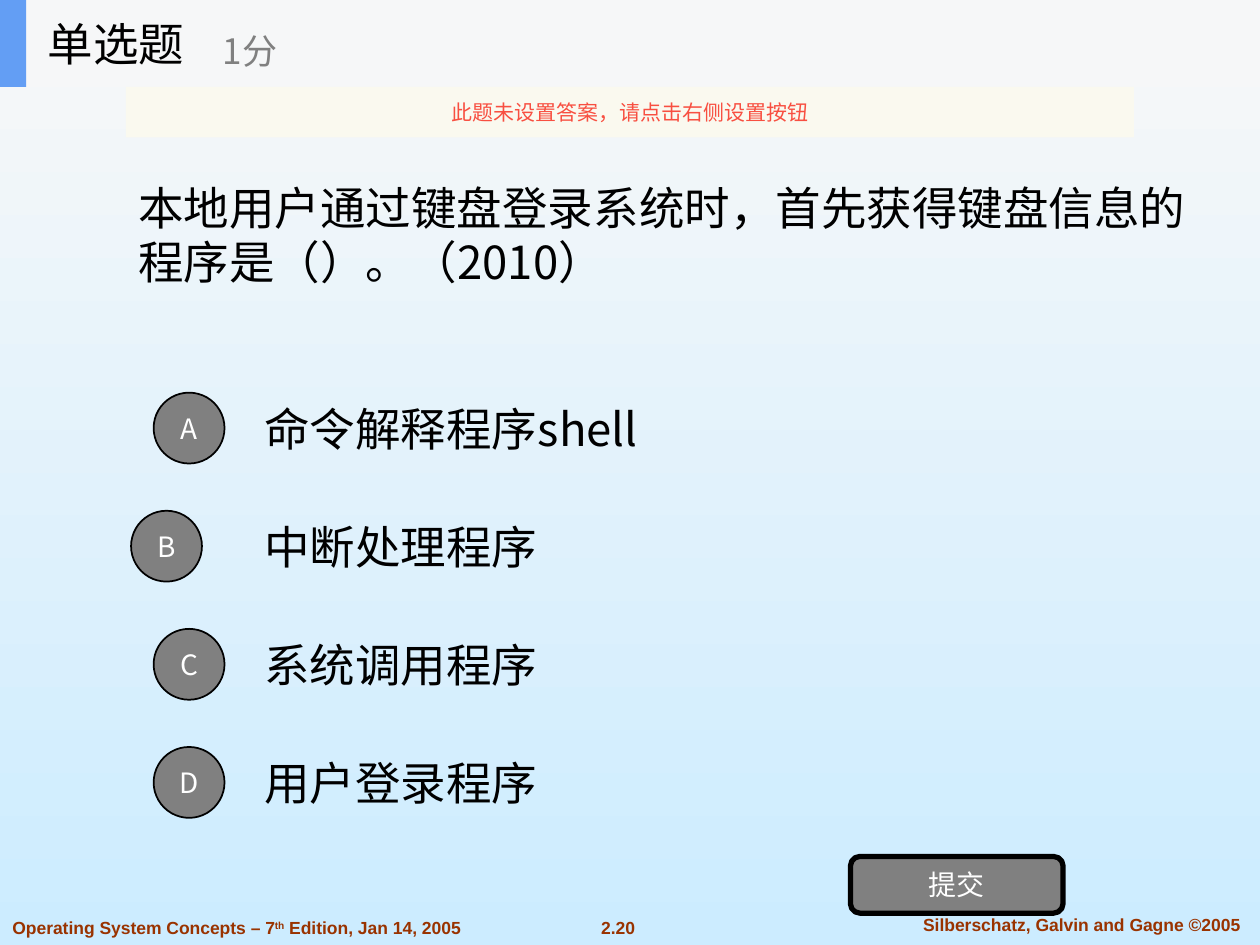
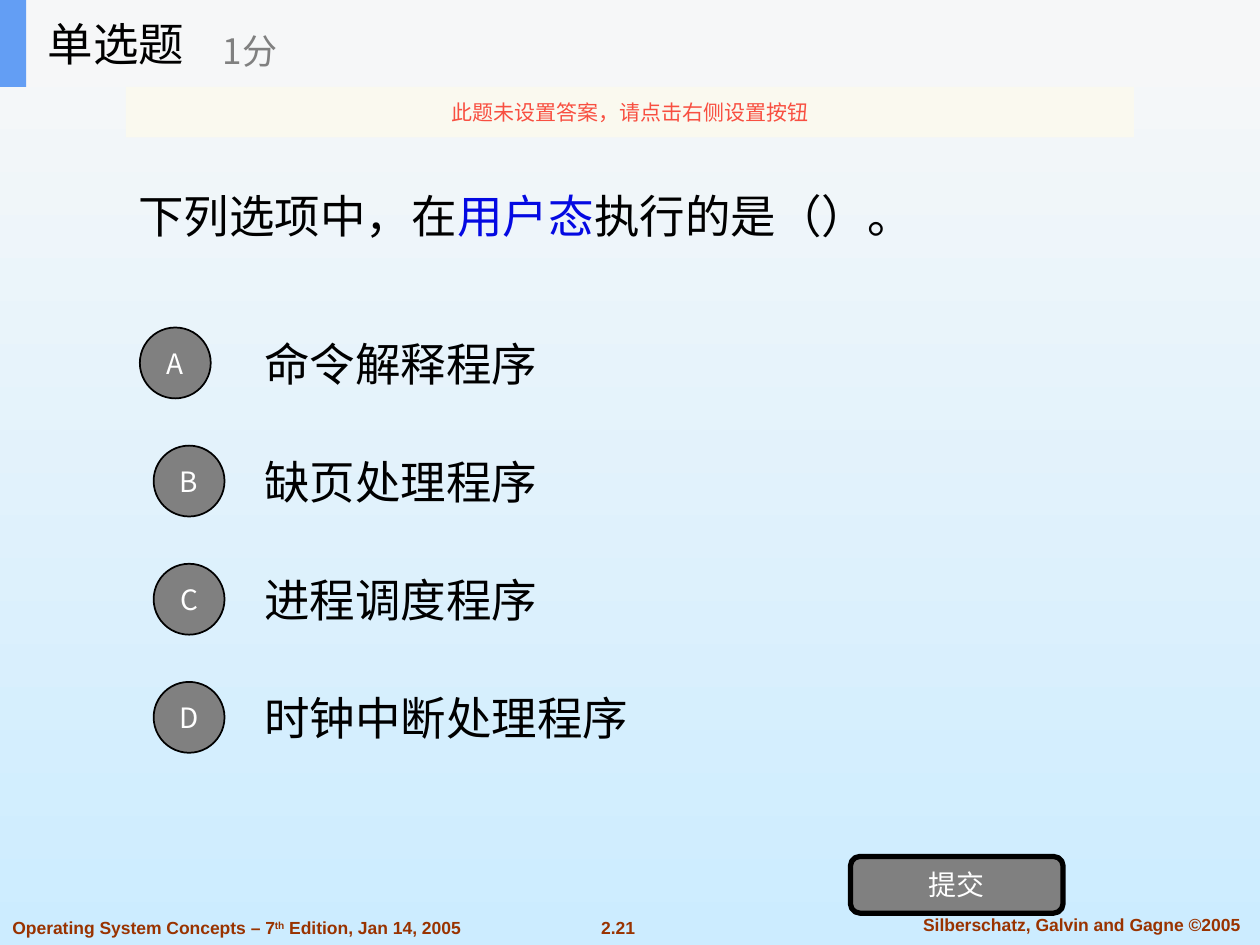
import pptx
import pptx.dml.color
import pptx.enum.shapes
import pptx.enum.text
import pptx.oxml
import pptx.oxml.ns
import pptx.util

Pt = pptx.util.Pt
RGBColor = pptx.dml.color.RGBColor
Shape = pptx.enum.shapes.MSO_SHAPE
Align = pptx.enum.text.PP_ALIGN
qn = pptx.oxml.ns.qn

BLACK = RGBColor(0x00, 0x00, 0x00)
WHITE = RGBColor(0xFF, 0xFF, 0xFF)
GRAY = RGBColor(0x80, 0x80, 0x80)
BLUE = RGBColor(0x04, 0x09, 0xE2)
RUST = RGBColor(0x99, 0x33, 0x00)
SKY_TOP = RGBColor(0xF8, 0xF8, 0xF8)
SKY_BOTTOM = RGBColor(0xCC, 0xEC, 0xFF)
BAND = RGBColor(0xF6, 0xF7, 0xF8)
ACCENT = RGBColor(0x63, 0x9E, 0xF4)
NOTICE_FILL = RGBColor(0xFB, 0xFA, 0xEF)
NOTICE_TEXT = RGBColor(0xF8, 0x4F, 0x41)

BODY_FONT = "Noto Sans CJK SC"
FOOTER_FONT = "Arial"
BAND_HEIGHT = 49.7
OPTION_PITCH = 67.5
OPTION_HEIGHT = 50.4
CIRCLE = 40.5

QUESTIONS = [
    {
        "number": "2.20",
        "box": (72, 49.7, 623.5, 168.5),
        "spans": [("本地用户通过键盘登录系统时，首先获得键盘信息的程序是（）。（2010）", BLACK)],
        "options_top": 219.4,
        "options": ["命令解释程序shell", "中断处理程序", "系统调用程序", "用户登录程序"],
        "circle_lefts": [87.8, 74.9, 87.8, 87.8],
    },
    {
        "number": "2.21",
        "box": (72, 78.5, 576, 89.3),
        "spans": [("下列选项中，在", BLACK), ("用户态", BLUE), ("执行的是（）。", BLACK)],
        "options_top": 182.2,
        "options": ["命令解释程序", "缺页处理程序", "进程调度程序", "时钟中断处理程序"],
        "circle_lefts": [79.9, 87.8, 87.8, 87.8],
    },
]


class QuizDeck:
    def __init__(self):
        self.deck = pptx.Presentation()
        self.deck.slide_width = Pt(720)
        self.deck.slide_height = Pt(540)
        self.page = None
        fill = self.deck.slide_master.background.fill
        fill.gradient()
        fill.gradient_angle = 270
        for stop, color, position in zip(fill.gradient_stops, (SKY_TOP, SKY_BOTTOM), (0, 1)):
            stop.color.rgb = color
            stop.position = position

    def new_page(self):
        self.page = self.deck.slides.add_slide(self.deck.slide_layouts[5])

    def fill_text(self, shape, spans, size, align=Align.LEFT, font=BODY_FONT, bold=False):
        frame = shape.text_frame
        frame.auto_size = pptx.enum.text.MSO_AUTO_SIZE.NONE
        frame.word_wrap = True
        frame.vertical_anchor = pptx.enum.text.MSO_ANCHOR.MIDDLE
        para = frame.paragraphs[0]
        para.alignment = align
        for text, color in spans:
            span = para.add_run()
            span.text = text
            span.font.size = Pt(size)
            span.font.bold = bold
            span.font.name = font
            span.font.color.rgb = color
            east_asian = pptx.oxml.parse_xml(
                f'<a:ea {pptx.oxml.ns.nsdecls("a")} typeface="{font}"/>')
            span.font._element.find(qn("a:latin")).addnext(east_asian)
        return para

    def text(self, box, spans, size, **style):
        shape = self.page.shapes.add_textbox(*map(Pt, box))
        return self.fill_text(shape, spans, size, **style)

    def shape(self, kind, box, fill, line_width=0):
        shape = self.page.shapes.add_shape(kind, *map(Pt, box))
        shape.shadow.inherit = False
        shape.fill.solid()
        shape.fill.fore_color.rgb = fill
        if line_width:
            shape.line.color.rgb = BLACK
            shape.line.width = Pt(line_width)
        else:
            shape.line.fill.background()
        return shape

    def button(self, kind, box, label, line_width):
        button = self.shape(kind, box, GRAY, line_width)
        frame = button.text_frame
        frame.margin_left = frame.margin_right = frame.margin_top = frame.margin_bottom = 0
        self.fill_text(button, [(label, WHITE)], 16, align=Align.CENTER)

    def footer(self, number):
        style = {"font": FOOTER_FONT, "bold": True}
        self.text((334, 520.6, 38.4, 19.4), [(number, RUST)], 10, align=Align.CENTER, **style)
        self.text((511.2, 518.4, 213.8, 19.4), [("Silberschatz, Galvin and Gagne ©2005", RUST)],
                  10, align=Align.CENTER, **style)
        para = self.text((0, 520.6, 305.3, 19.4),
                         [("Operating System Concepts – 7", RUST), ("th", RUST),
                          (" Edition, Jan 14, 2005", RUST)], 10, **style)
        para.runs[1].font._element.set("baseline", "30000")

    def header(self):
        self.shape(Shape.RECTANGLE, (0, 0, 720, BAND_HEIGHT), BAND)
        self.shape(Shape.RECTANGLE, (0, 0, 15, BAND_HEIGHT), ACCENT)
        title = self.page.shapes.title
        title.left, title.top, title.width, title.height = map(Pt, (20.2, 0, 149.8, BAND_HEIGHT))
        self.fill_text(title, [("单选题", BLACK)], 26)
        self.page.shapes._spTree.append(title._element)
        self.text((120.2, 8.6, 180, 40.3), [("1分", GRAY)], 20)

    def notice(self):
        notice = self.shape(Shape.RECTANGLE, (72, BAND_HEIGHT, 576, 28.8), NOTICE_FILL)
        color = notice._element.spPr.find(qn("a:solidFill")).find(qn("a:srgbClr"))
        color.append(pptx.oxml.parse_xml(
            f'<a:alpha {pptx.oxml.ns.nsdecls("a")} val="90000"/>'))
        self.fill_text(notice, [("此题未设置答案，请点击右侧设置按钮", NOTICE_TEXT)], 12,
                       align=Align.CENTER)

    def options(self, top, labels, circle_lefts):
        for row, (letter, label, left) in enumerate(zip("ABCD", labels, circle_lefts)):
            row_top = top + row * OPTION_PITCH
            self.text((144, row_top, 504, OPTION_HEIGHT), [(label, BLACK)], 26)
            circle_top = row_top + (OPTION_HEIGHT - CIRCLE) / 2
            self.button(Shape.OVAL, (left, circle_top, CIRCLE, CIRCLE), letter, 1)

    def question(self, question):
        self.new_page()
        self.footer(question["number"])
        self.text(question["box"], question["spans"], 26)
        self.options(question["options_top"], question["options"], question["circle_lefts"])
        self.button(Shape.ROUNDED_RECTANGLE, (486, 489.4, 121.5, 32.4), "提交", 3)
        self.header()
        self.notice()


def main():
    quiz = QuizDeck()
    for question in QUESTIONS:
        quiz.question(question)
    quiz.deck.save("out.pptx")


if __name__ == "__main__":
    main()
